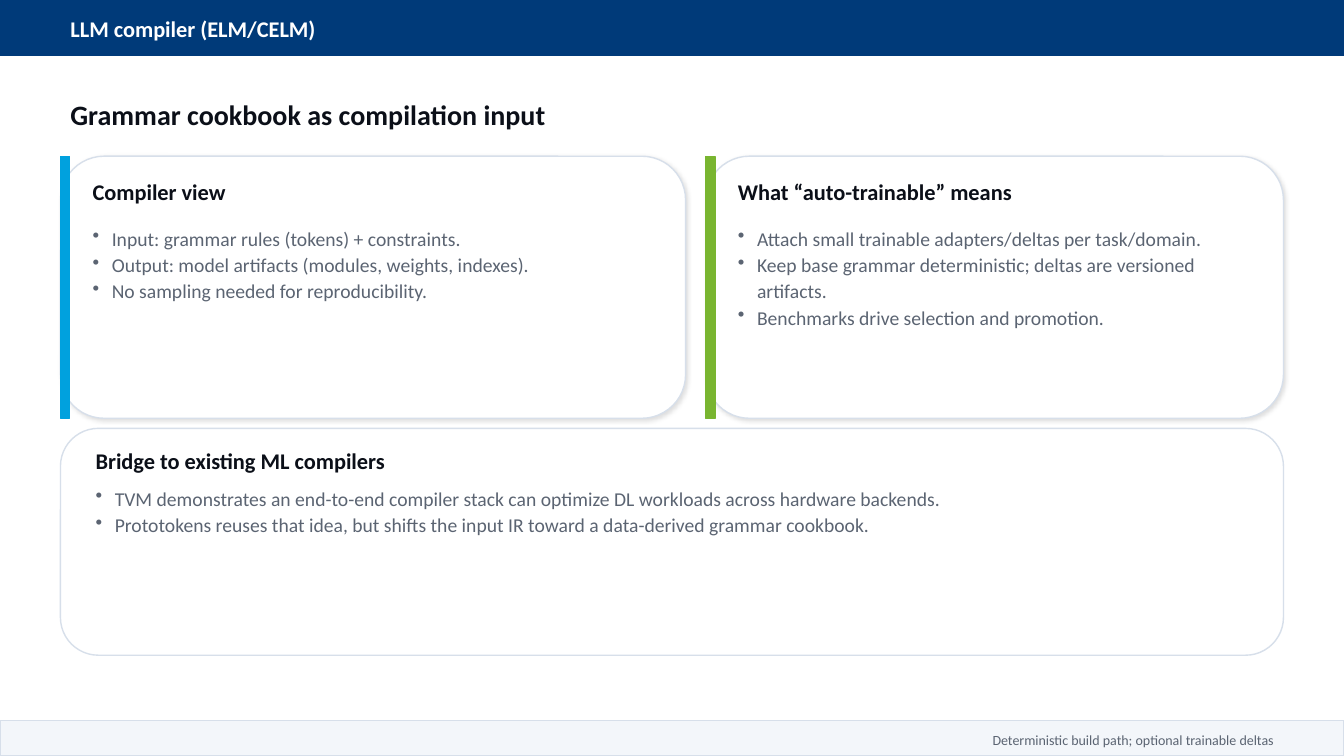
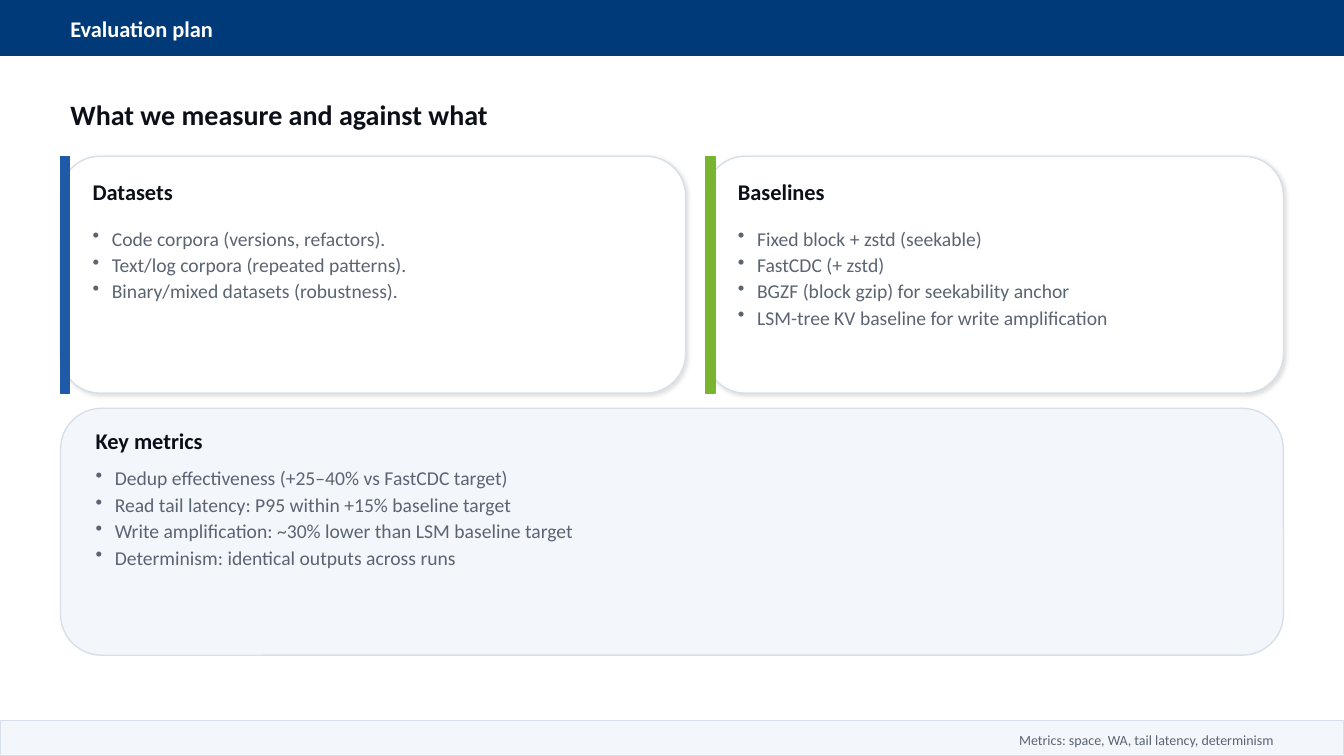
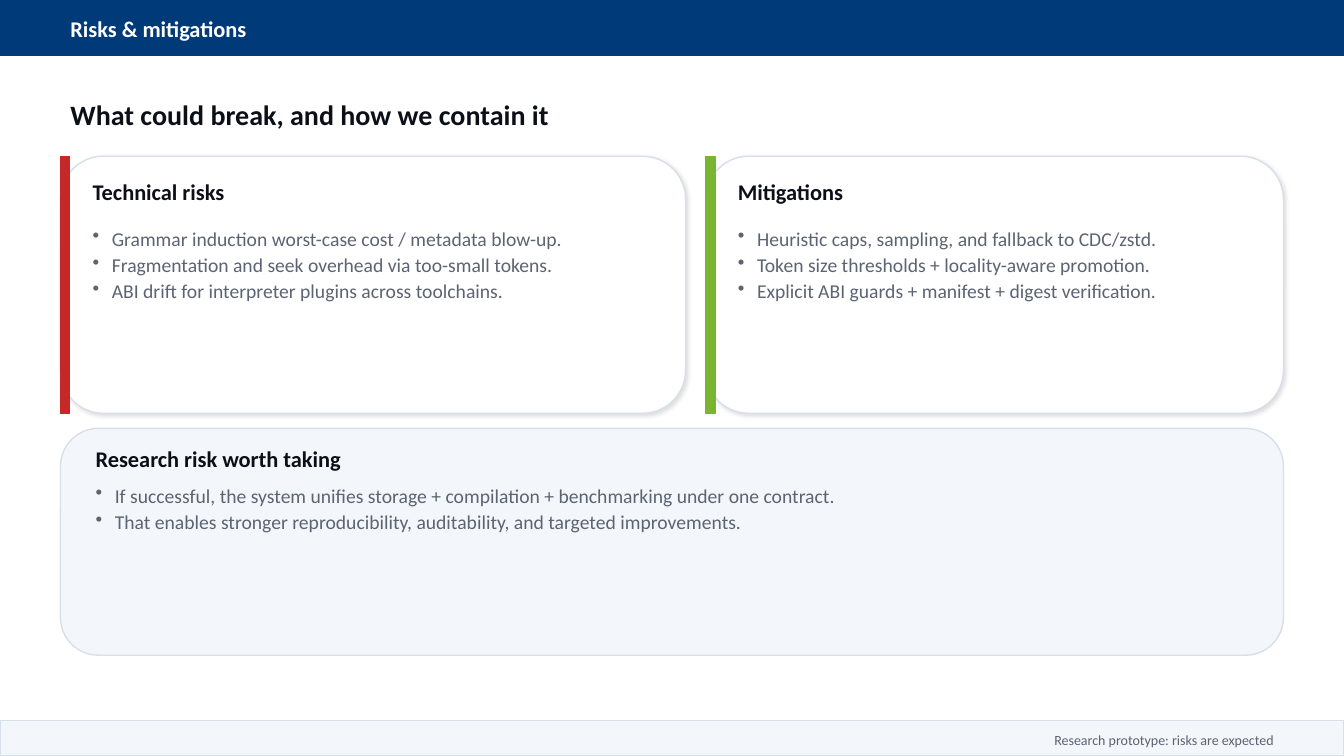
from dataclasses import dataclass

from lxml import etree
from pptx import Presentation
from pptx import util as u
from pptx.dml.color import RGBColor
from pptx.enum import shapes, text
from pptx.oxml import ns


@dataclass(frozen=True)
class Theme:
    font: str = "Calibri"
    navy: str = "003A79"
    blue: str = "1E5AA8"
    cyan: str = "00A1DE"
    green: str = "79B530"
    red: str = "C62828"
    white: str = "FFFFFF"
    pale: str = "F3F6FA"
    border: str = "D7DFEA"
    ink: str = "0B0F18"
    grey: str = "5B6472"
    heading: int = 20
    title: int = 16
    body: int = 14
    footer: int = 10


@dataclass(frozen=True)
class Box:
    left: float
    top: float
    width: float
    height: float

    def within(self, left, top, right, height):
        """A box inset from the left, top and right edges of this one."""
        return Box(self.left + left, self.top + top,
                   self.width - left - right, height)

    def emu(self):
        return [u.Inches(round(side, 2)) for side in
                (self.left, self.top, self.width, self.height)]


THEME = Theme()
SLIDE = Box(0, 0, 13.33, 7.5)
MARGIN = 0.6
GUTTER = 0.2
LEFT_COLUMN = 6.2
CARDS_TOP = 1.55
CONTENT_BOTTOM = 6.5
INDENT = 0.19
RECT = shapes.MSO_SHAPE.RECTANGLE
ROUNDED = shapes.MSO_SHAPE.ROUNDED_RECTANGLE


# Basic parts
def add_block(page, box, fill, line, kind=RECT, shadow=False):
    block = page.shapes.add_shape(kind, *box.emu())
    block.fill.solid()
    block.fill.fore_color.rgb = RGBColor.from_string(fill)
    block.line.color.rgb = RGBColor.from_string(line)
    block.line.width = u.Pt(1)
    block.shadow.inherit = False
    if shadow:
        effects = block._element.spPr.find(ns.qn("a:effectLst"))
        outer = etree.SubElement(
            effects, ns.qn("a:outerShdw"), blurRad=str(u.Pt(3)),
            dist=str(u.Pt(1.5)), dir=str(45 * 60000), algn="bl", rotWithShape="0")
        color = etree.SubElement(outer, ns.qn("a:srgbClr"), val="000000")
        etree.SubElement(color, ns.qn("a:alpha"), val="12000")


def add_bullet(para):
    para.line_spacing = 1.12
    props = para._p.get_or_add_pPr()
    props.set("marL", str(u.Inches(INDENT)))
    props.set("indent", str(-u.Inches(INDENT)))
    etree.SubElement(props, ns.qn("a:buChar"), char="•")


def add_text(page, box, lines, size=THEME.title, color=THEME.ink, bold=False,
             align=text.PP_ALIGN.LEFT, bullets=False):
    frame = page.shapes.add_textbox(*box.emu()).text_frame
    frame.word_wrap = True
    frame.vertical_anchor = (text.MSO_ANCHOR.TOP if bullets
                             else text.MSO_ANCHOR.MIDDLE)
    for index, line in enumerate(lines):
        para = frame.add_paragraph() if index else frame.paragraphs[0]
        para.alignment = align
        if bullets:
            add_bullet(para)
        span = para.add_run()
        span.text = line
        span.font.name = THEME.font
        span.font.size = u.Pt(size)
        span.font.bold = bold
        span.font.color.rgb = RGBColor.from_string(color)


def add_list(page, box, left, top, right, items):
    area = box.within(left, top, right, 0.25 + 0.22 * len(items))
    add_text(page, area, items, size=THEME.body, color=THEME.grey, bullets=True)


# Regions
def add_header(page, band, title):
    add_block(page, band, THEME.navy, THEME.navy)
    add_text(page, band.within(MARGIN, 0.12, MARGIN, 0.32), [title],
             color=THEME.white, bold=True)


def add_footer(page, band, note):
    add_block(page, band, THEME.pale, THEME.border)
    add_text(page, band.within(MARGIN, 0.07, MARGIN, 0.25), [note],
             size=THEME.footer, color=THEME.grey, align=text.PP_ALIGN.RIGHT)


def add_card(page, box, accent, title, items):
    add_block(page, box, THEME.white, THEME.border, ROUNDED, shadow=True)
    add_block(page, Box(box.left, box.top, 0.09, box.height), accent, accent)
    add_text(page, box.within(0.22, 0.18, 0.13, 0.35), [title], bold=True)
    add_list(page, box, 0.22, 0.62, 0.2, items)


def add_panel(page, box, title, items, fill=THEME.pale, title_top=0.17, list_top=0.5):
    add_block(page, box, fill, THEME.border, ROUNDED)
    add_text(page, box.within(0.25, title_top, 0.25, 0.3), [title], bold=True)
    add_list(page, box, 0.25, list_top, 0.25, items)


def add_page(deck, title, heading, note, card_height, cards, panel_top, panel):
    page = deck.slides.add_slide(deck.slide_layouts[6])
    add_header(page, SLIDE.within(0, 0, 0, 0.55), title)
    add_text(page, SLIDE.within(MARGIN, 0.83, MARGIN, 0.6), [heading],
             size=THEME.heading, bold=True)
    add_footer(page, SLIDE.within(0, 7.15, 0, 0.35), note)

    # Two cards over one full-width panel
    content = SLIDE.within(MARGIN, CARDS_TOP, MARGIN, card_height)
    right_offset = LEFT_COLUMN + GUTTER
    columns = (content.within(0, 0, content.width - LEFT_COLUMN, card_height),
               content.within(right_offset, 0, 0, card_height))
    for column, card in zip(columns, cards):
        add_card(page, column, *card)
    add_panel(page, SLIDE.within(MARGIN, panel_top, MARGIN,
                                 CONTENT_BOTTOM - panel_top), **panel)


PAGES = [
    dict(
        title="LLM compiler (ELM/CELM)",
        heading="Grammar cookbook as compilation input",
        note="Deterministic build path; optional trainable deltas",
        card_height=2.6,
        cards=[
            (THEME.cyan, "Compiler view", [
                "Input: grammar rules (tokens) + constraints.",
                "Output: model artifacts (modules, weights, indexes).",
                "No sampling needed for reproducibility."]),
            (THEME.green, "What “auto-trainable” means", [
                "Attach small trainable adapters/deltas per task/domain.",
                "Keep base grammar deterministic; deltas are versioned artifacts.",
                "Benchmarks drive selection and promotion."]),
        ],
        panel_top=4.25,
        panel=dict(title="Bridge to existing ML compilers", fill=THEME.white, items=[
            "TVM demonstrates an end-to-end compiler stack can optimize DL "
            "workloads across hardware backends.",
            "Prototokens reuses that idea, but shifts the input IR toward a "
            "data-derived grammar cookbook."]),
    ),
    dict(
        title="Evaluation plan",
        heading="What we measure and against what",
        note="Metrics: space, WA, tail latency, determinism",
        card_height=2.35,
        cards=[
            (THEME.blue, "Datasets", [
                "Code corpora (versions, refactors).",
                "Text/log corpora (repeated patterns).",
                "Binary/mixed datasets (robustness)."]),
            (THEME.green, "Baselines", [
                "Fixed block + zstd (seekable)",
                "FastCDC (+ zstd)",
                "BGZF (block gzip) for seekability anchor",
                "LSM-tree KV baseline for write amplification"]),
        ],
        panel_top=4.05,
        panel=dict(title="Key metrics", items=[
            "Dedup effectiveness (+25–40% vs FastCDC target)",
            "Read tail latency: P95 within +15% baseline target",
            "Write amplification: ~30% lower than LSM baseline target",
            "Determinism: identical outputs across runs"]),
    ),
    dict(
        title="Risks & mitigations",
        heading="What could break, and how we contain it",
        note="Research prototype: risks are expected",
        card_height=2.55,
        cards=[
            (THEME.red, "Technical risks", [
                "Grammar induction worst-case cost / metadata blow-up.",
                "Fragmentation and seek overhead via too-small tokens.",
                "ABI drift for interpreter plugins across toolchains."]),
            (THEME.green, "Mitigations", [
                "Heuristic caps, sampling, and fallback to CDC/zstd.",
                "Token size thresholds + locality-aware promotion.",
                "Explicit ABI guards + manifest + digest verification."]),
        ],
        panel_top=4.25,
        panel=dict(
            title="Research risk worth taking", title_top=0.15, list_top=0.47, items=[
                "If successful, the system unifies storage + compilation + "
                "benchmarking under one contract.",
                "That enables stronger reproducibility, auditability, and "
                "targeted improvements."]),
    ),
]


def main():
    deck = Presentation()
    deck.slide_width = u.Inches(SLIDE.width)
    deck.slide_height = u.Inches(SLIDE.height)
    for content in PAGES:
        add_page(deck, **content)
    deck.save("out.pptx")


if __name__ == "__main__":
    main()
